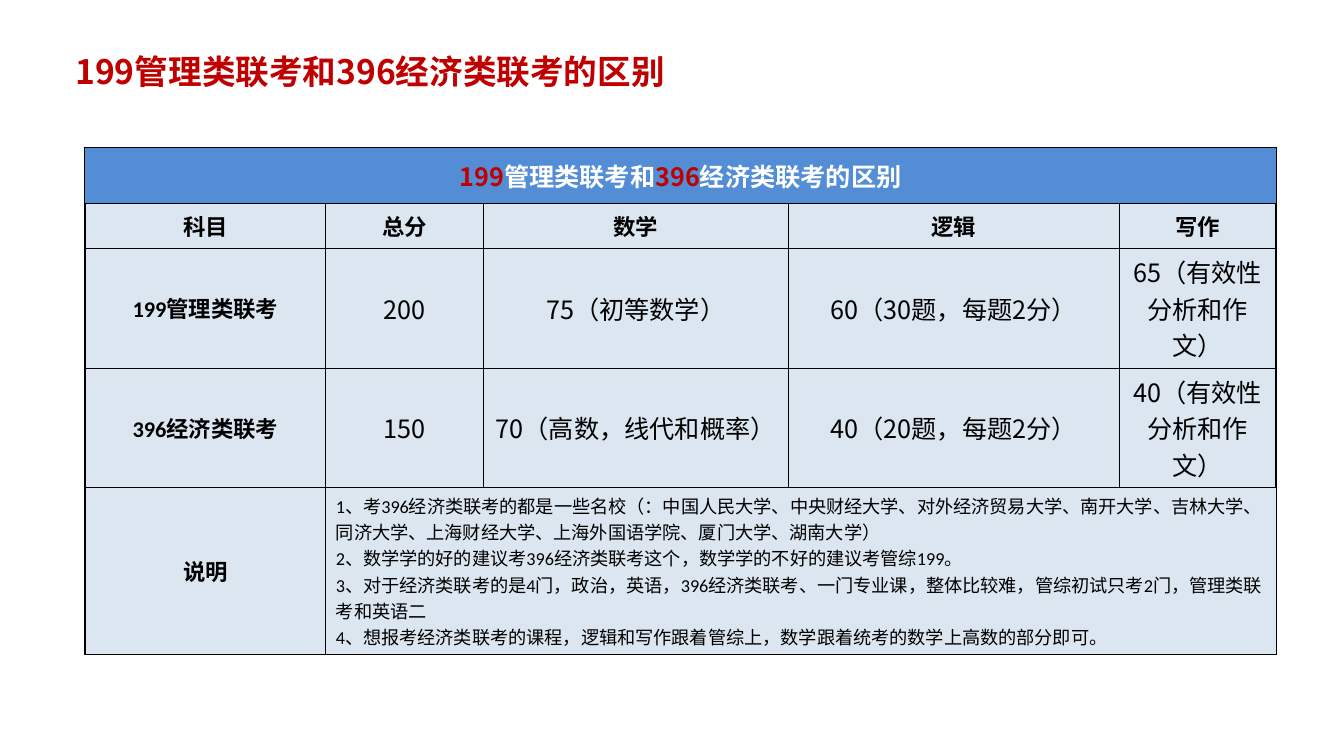
from itertools import groupby
from lxml.etree import SubElement
from pptx import Presentation
from pptx.dml.color import RGBColor
from pptx.enum.text import MSO_ANCHOR, PP_ALIGN
from pptx.oxml import parse_xml
from pptx.oxml.ns import nsdecls, qn
from pptx.util import Cm, Pt

RED = RGBColor(0xC0, 0x00, 0x00)
WHITE = RGBColor(0xFF, 0xFF, 0xFF)
BLACK = RGBColor(0x00, 0x00, 0x00)
BLUE = RGBColor(0x53, 0x8D, 0xD5)
PALE = RGBColor(0xDC, 0xE6, 0xF1)
NOTO = "Noto Sans CJK SC"

TITLE = dict(name=NOTO, size=Pt(24), bold=True, color=RED)
HEAD = dict(name=NOTO, size=Pt(18), bold=True, color=WHITE)
HEAD_NUM = dict(HEAD, color=RED)
LABEL = dict(name="Calibri", size=Pt(16), bold=True, color=BLACK)
DATA = dict(name="Roboto", size=Pt(18), bold=False, color=BLACK)
DATA_NUM = dict(DATA, name=NOTO)
NOTE = dict(LABEL, size=Pt(13), bold=False)

TOPIC = "199管理类联考和396经济类联考的区别"
COLS = [6.07, 3.96, 7.7, 8.33, 3.96]
ROWS = [1.4, 1.14, 2.59, 1.9, 3.86]
BODY = [
    ["科目", "总分", "数学", "逻辑", "写作"],
    ["199管理类联考", "200", "75（初等数学）", "60（30题，每题2分）", "65（有效性分析和作文）"],
    ["396经济类联考", "150", "70（高数，线代和概率）", "40（20题，每题2分）", "40（有效性分析和作文）"],
]
NOTES = [
    "1、考396经济类联考的都是一些名校（：中国人民大学、中央财经大学、对外经济贸易大学、南开大学、吉林大学、同济大学、上海财经大学、上海外国语学院、厦门大学、湖南大学）",
    "2、数学学的好的建议考396经济类联考这个，数学学的不好的建议考管综199。",
    "3、对于经济类联考的是4门，政治，英语，396经济类联考、一门专业课，整体比较难，管综初试只考2门，管理类联考和英语二",
    "4、想报考经济类联考的课程，逻辑和写作跟着管综上，数学跟着统考的数学上高数的部分即可。",
]


class Deck:
    """Hold the style and the current slide, and add elements to it."""

    def __init__(self):
        self.show = Presentation()
        self.show.slide_width, self.show.slide_height = Cm(33.87), Cm(19.05)
        self.slide = self.show.slides.add_slide(self.show.slide_layouts[6])

    def piece(self, para, text, style):
        run = para.add_run()
        run.text = text
        for key, value in style.items():
            if key == "color":
                run.font.color.rgb = value
            else:
                setattr(run.font, key, value)
        SubElement(run._r.get_or_add_rPr(), qn("a:ea")).set("typeface", NOTO)

    def lines(self, frame, texts, style, num=None, **form):
        for at, text in enumerate(texts):
            para = frame.add_paragraph() if at else frame.paragraphs[0]
            for key, value in form.items():
                setattr(para, key, value)
            if num is None:
                self.piece(para, text, style)
                continue
            for digit, part in groupby(text, str.isdigit):
                self.piece(para, "".join(part), num if digit else style)

    def label(self, left, top, width, height, text, style):
        box = self.slide.shapes.add_textbox(Cm(left), Cm(top), Cm(width), Cm(height))
        box.text_frame.word_wrap = True
        self.lines(box.text_frame, [text], style, line_spacing=0.82)

    def border(self, cell, row, col, last_row, last_col):
        side = 1.2 if row else 0.75
        widths = dict(
            lnL=side if col == 0 else 0.5,
            lnR=side if col == last_col else 0.5,
            lnT=0.75 if row < 2 else 0.5,
            lnB=0.75 if row == 0 else 1.2 if row == last_row else 0.5,
        )
        props = cell._tc.get_or_add_tcPr()
        for at, (tag, width) in enumerate(widths.items()):
            props.insert(at, parse_xml(
                f'<a:{tag} {nsdecls("a")} w="{Pt(width)}"><a:solidFill>'
                f'<a:srgbClr val="{BLACK}"/></a:solidFill></a:{tag}>'))

    def table(self, left, top, cols, rows):
        grid = self.slide.shapes.add_table(
            len(rows), len(cols), Cm(left), Cm(top), Cm(sum(cols)), Cm(sum(rows))).table
        for col, width in zip(grid.columns, cols):
            col.width = Cm(width)
        for row, height in zip(grid.rows, rows):
            row.height = Cm(height)
        for row in range(len(rows)):
            for col in range(len(cols)):
                cell = grid.cell(row, col)
                cell.vertical_anchor = MSO_ANCHOR.MIDDLE
                cell.fill.solid()
                cell.fill.fore_color.rgb = PALE if row else BLUE
                self.border(cell, row, col, len(rows) - 1, len(cols) - 1)
        return grid


def main():
    deck = Deck()
    grid = deck.table(2.14, 3.72, COLS, ROWS)
    mid = PP_ALIGN.CENTER
    grid.cell(0, 0).merge(grid.cell(0, 4))
    grid.cell(4, 1).merge(grid.cell(4, 4))
    deck.lines(grid.cell(0, 0).text_frame, [TOPIC], HEAD, HEAD_NUM, alignment=mid)
    for row, texts in enumerate(BODY, 1):
        for col, text in enumerate(texts):
            style, num = (DATA, DATA_NUM) if row > 1 and col else (LABEL, None)
            deck.lines(grid.cell(row, col).text_frame, [text], style, num, alignment=mid)
    deck.lines(grid.cell(4, 0).text_frame, ["说明"], LABEL, alignment=mid)
    deck.lines(grid.cell(4, 1).text_frame, NOTES, NOTE)
    deck.label(1.65, 1.35, 15.5, 1.27, TOPIC, TITLE)
    deck.show.save("out.pptx")


if __name__ == "__main__":
    main()
